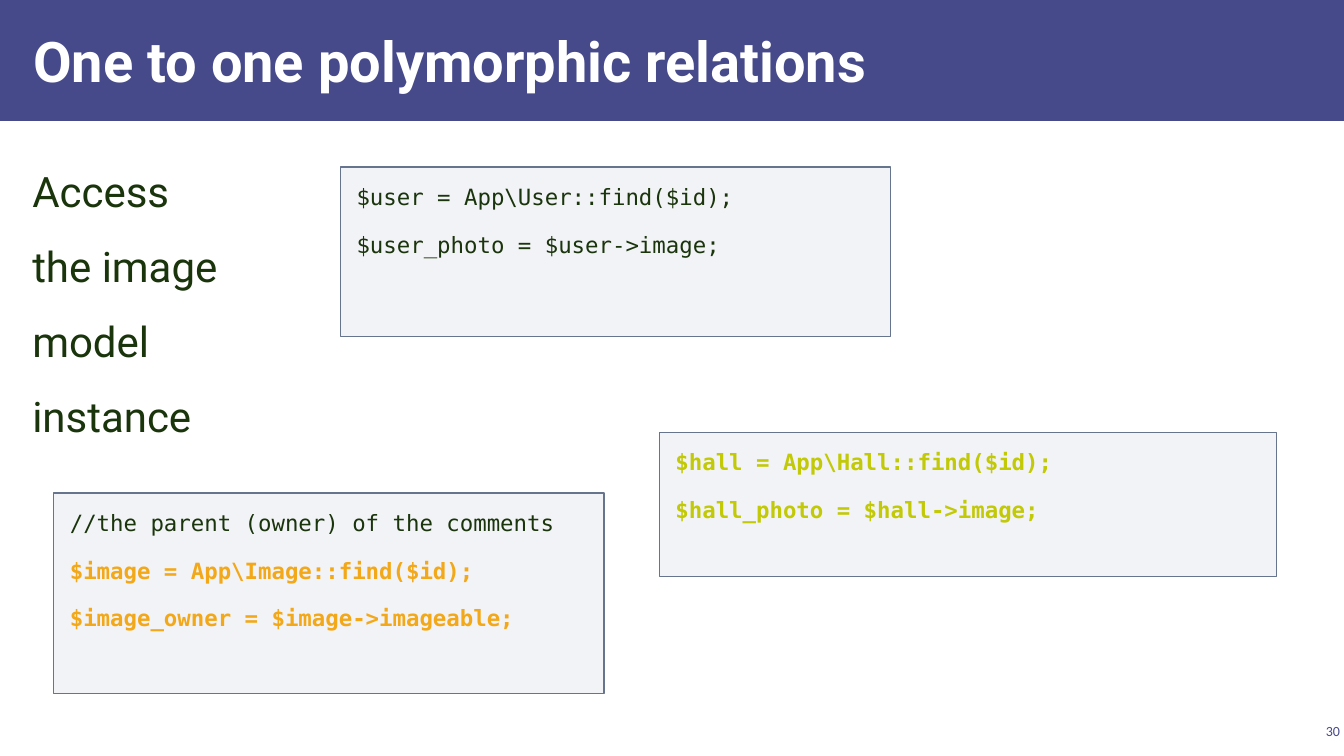
from lxml import etree
from pptx import Presentation
from pptx.dml.color import RGBColor
from pptx.enum.shapes import MSO_SHAPE
from pptx.enum.text import MSO_ANCHOR, PP_ALIGN
from pptx.oxml.ns import qn
from pptx.util import Pt

RECTANGLE = MSO_SHAPE.RECTANGLE
TOP, MIDDLE = MSO_ANCHOR.TOP, MSO_ANCHOR.MIDDLE
LEFT, RIGHT = PP_ALIGN.LEFT, PP_ALIGN.RIGHT

INDIGO = RGBColor(0x47, 0x4A, 0x8A)
WHITE = RGBColor(0xFF, 0xFF, 0xFF)
DARK_GREEN = RGBColor(0x1A, 0x34, 0x0C)
LIME = RGBColor(0xC2, 0xC9, 0x06)
ORANGE = RGBColor(0xF2, 0xA8, 0x18)
PANEL_FILL = RGBColor(0xAC, 0xB4, 0xC3)
PANEL_LINE = RGBColor(0x67, 0x74, 0x8E)

SLIDE_WIDTH, SLIDE_HEIGHT = 960, 540


class SlideBuilder:
    text_font = "Roboto"
    code_font = "DejaVu Sans Mono"
    number_font = "Calibri"
    panel_opacity = 15
    line_spacing = 1.15
    paragraph_gap = 12

    def __init__(self, slide):
        self.slide = slide

    def rectangle(self, box, color):
        shape = self.slide.shapes.add_shape(RECTANGLE, *map(Pt, box))
        shape.shadow.inherit = False
        shape.fill.solid()
        shape.fill.fore_color.rgb = color
        shape.line.fill.background()
        return shape

    def fill_text(self, shape, lines, font, size, insets, anchor=TOP,
                  alignment=LEFT, spaced=False):
        """Fill a shape with lines given as (text, color, bold)."""
        frame = shape.text_frame
        frame.word_wrap = True
        frame.vertical_anchor = anchor
        horizontal, vertical = map(Pt, insets)
        frame.margin_left = frame.margin_right = horizontal
        frame.margin_top = frame.margin_bottom = vertical
        for index, (text, color, bold) in enumerate(lines):
            paragraph = frame.add_paragraph() if index else frame.paragraphs[0]
            paragraph.alignment = alignment
            if spaced:
                paragraph.line_spacing = self.line_spacing
                paragraph.space_before = Pt(self.paragraph_gap if index else 0)
            run = paragraph.add_run()
            run.text = text
            run.font.name = font
            run.font.size = Pt(size)
            run.font.bold = bold
            run.font.color.rgb = color

    def text(self, box, lines, font, size, insets, **layout):
        shape = self.slide.shapes.add_textbox(*map(Pt, box))
        self.fill_text(shape, lines, font, size, insets, **layout)

    def code_panel(self, box, lines):
        shape = self.rectangle(box, PANEL_FILL)
        color = shape.element.spPr.find(qn("a:solidFill"))[0]
        alpha = etree.SubElement(color, qn("a:alpha"))
        alpha.set("val", str(self.panel_opacity * 1000))
        shape.line.color.rgb = PANEL_LINE
        shape.line.width = Pt(1)
        self.fill_text(shape, lines, self.code_font, 16, (11.5, 8.64),
                       spaced=True)


def main():
    presentation = Presentation()
    presentation.slide_width = Pt(SLIDE_WIDTH)
    presentation.slide_height = Pt(SLIDE_HEIGHT)
    slide = presentation.slides.add_slide(presentation.slide_layouts[6])
    builder = SlideBuilder(slide)

    builder.rectangle((0, 0, SLIDE_WIDTH, 86.4), INDIGO)
    body = ("Access", "the image", "model", "instance")
    builder.text((14.4, 110.2, 930.2, 395.3),
                 [(line, DARK_GREEN, False) for line in body],
                 builder.text_font, 30, (8.64, 2.88), spaced=True)
    builder.text((15.1, 7.9, 748.8, 69.8),
                 [("One to one polymorphic relations", WHITE, True)],
                 builder.text_font, 40, (8.64, 2.88), anchor=MIDDLE)
    builder.text((926, 514.1, 34, 15.8), [("30", INDIGO, False)],
                 builder.number_font, 10, (2.88, 2.88),
                 anchor=MIDDLE, alignment=RIGHT)

    builder.code_panel((243.2, 119.4, 393, 121), [
        (r"$user = App\User::find($id);", DARK_GREEN, False),
        ("$user_photo = $user->image;", DARK_GREEN, False),
    ])
    builder.code_panel((471, 308.8, 440.8, 103), [
        (r"$hall = App\Hall::find($id);", LIME, True),
        ("$hall_photo = $hall->image;", LIME, True),
    ])
    builder.code_panel((38.4, 352.2, 393, 143.2), [
        ("//the parent (owner) of the comments", DARK_GREEN, False),
        (r"$image = App\Image::find($id);", ORANGE, True),
        ("$image_owner = $image->imageable;", ORANGE, True),
    ])
    presentation.save("out.pptx")


if __name__ == "__main__":
    main()
